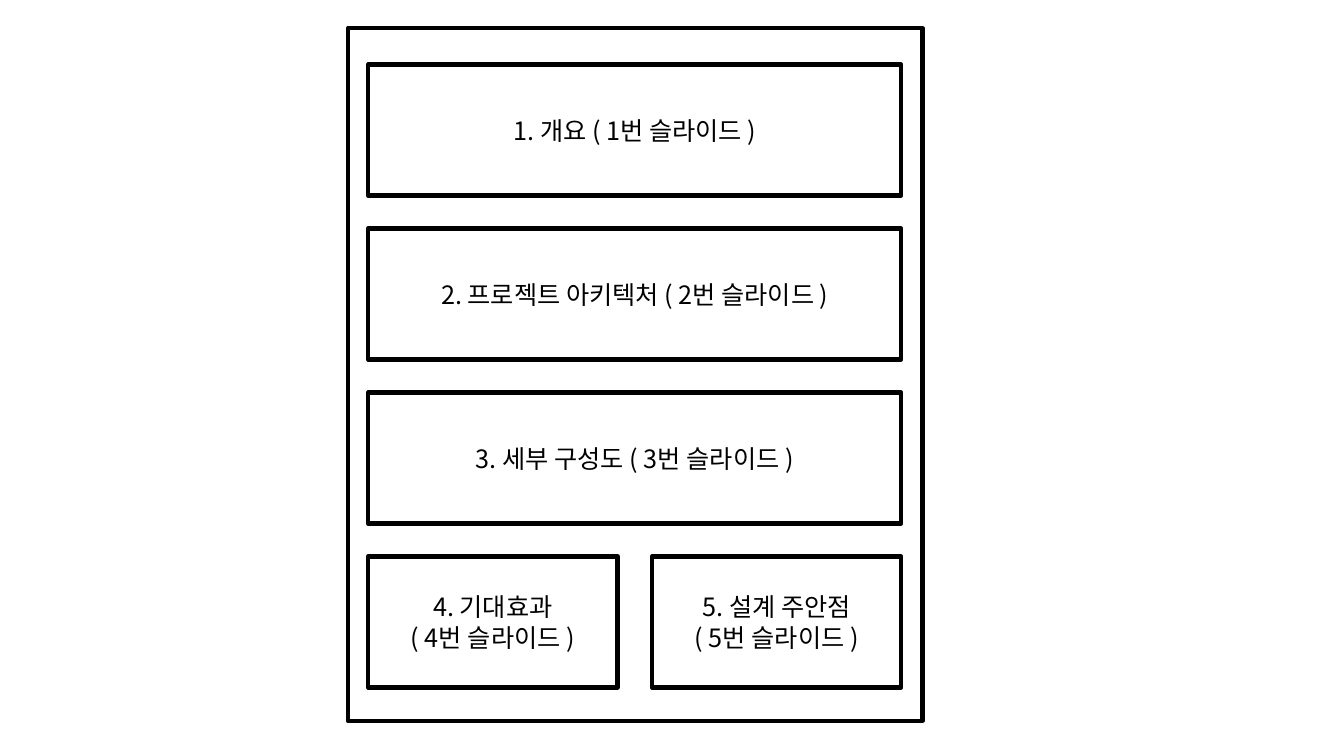
from dataclasses import dataclass

from lxml.etree import SubElement
from pptx import Presentation
from pptx.dml.color import RGBColor
from pptx.enum.shapes import MSO_SHAPE
from pptx.enum.text import MSO_ANCHOR, PP_ALIGN
from pptx.oxml.ns import qn
from pptx.util import Inches, Pt


@dataclass(frozen=True)
class Theme:
    font: str = "Noto Sans CJK KR"
    ink: RGBColor = RGBColor(0, 0, 0)
    text_size: int = 18
    border: int = 3


class OutlineSlide:
    def __init__(self, slide, theme):
        self.slide = slide
        self.theme = theme

    def frame(self, left, top, width, height):
        """Draw an unfilled rectangle with the theme's border."""
        frame = self.slide.shapes.add_shape(
            MSO_SHAPE.RECTANGLE, Inches(left), Inches(top), Inches(width), Inches(height))
        frame.shadow.inherit = False
        frame.fill.background()
        frame.line.color.rgb = self.theme.ink
        frame.line.width = Pt(self.theme.border)
        return frame

    def section(self, left, top, width, height, lines):
        """Draw a frame with centred lines of text in one paragraph."""
        text = self.frame(left, top, width, height).text_frame
        text.word_wrap = True
        text.vertical_anchor = MSO_ANCHOR.MIDDLE
        paragraph = text.paragraphs[0]
        paragraph.alignment = PP_ALIGN.CENTER
        for index, line in enumerate(lines):
            if index:
                paragraph.add_line_break()
            self.run(paragraph, line)

    def run(self, paragraph, wording):
        run = paragraph.add_run()
        run.text = wording
        run.font.size = Pt(self.theme.text_size)
        run.font.color.rgb = self.theme.ink
        run.font.name = self.theme.font
        east_asian = SubElement(run.font._element, qn("a:ea"))
        east_asian.set("typeface", self.theme.font)


SECTION_ROWS = [
    [["1. 개요 ( 1번 슬라이드 )"]],
    [["2. 프로젝트 아키텍처 ( 2번 슬라이드 )"]],
    [["3. 세부 구성도 ( 3번 슬라이드 )"]],
    [["4. 기대효과", "( 4번 슬라이드 )"], ["5. 설계 주안점", "( 5번 슬라이드 )"]],
]
LEFT, TOP, WIDTH, HEIGHT = 3.65, 0.64, 5.29, 1.3
ROW_PITCH = 1.627
COLUMN_GAP = 0.34


def main():
    deck = Presentation()
    deck.slide_width = Inches(13.33)
    deck.slide_height = Inches(7.5)
    outline = OutlineSlide(deck.slides.add_slide(deck.slide_layouts[6]), Theme())

    outline.frame(3.45, 0.28, 5.7, 6.87)
    for row, sections in enumerate(SECTION_ROWS):
        width = (WIDTH - COLUMN_GAP * (len(sections) - 1)) / len(sections)
        for column, lines in enumerate(sections):
            left = LEFT + column * (width + COLUMN_GAP)
            outline.section(left, TOP + row * ROW_PITCH, width, HEIGHT, lines)

    deck.save("out.pptx")


if __name__ == "__main__":
    main()
